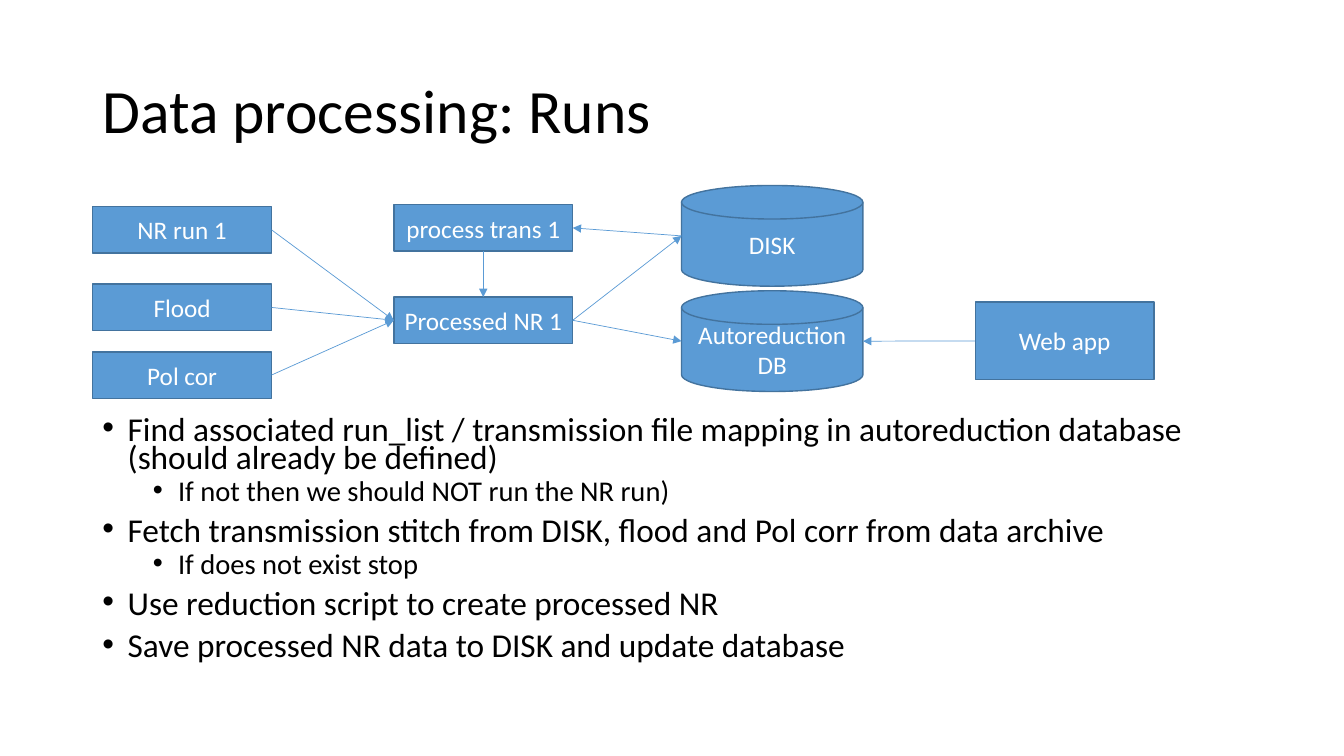
from lxml.etree import SubElement
from pptx import Presentation
from pptx.dml.color import RGBColor
from pptx.enum.shapes import MSO_CONNECTOR, MSO_SHAPE
from pptx.enum.text import MSO_ANCHOR, MSO_AUTO_SIZE, PP_ALIGN
from pptx.oxml.ns import qn
from pptx.util import Pt


def paint(target, color):
    if hasattr(target, "solid"):
        target.solid()
        target = target.fore_color
    target.rgb = RGBColor.from_string(color)


def write(para, text, size, color):
    run = para.add_run()
    run.text = text
    run.font.name = "Calibri"
    run.font.size = Pt(size)
    paint(run.font.color, color)


deck = Presentation()
deck.slide_width, deck.slide_height = Pt(960), Pt(540)
slide = deck.slides.add_slide(deck.slide_layouts[1])
paint(slide.background.fill, "FFFFFF")

title, body = slide.placeholders
for holder, top, height in ((title, 28.75, 104.4), (body, 296, 191)):
    holder.left, holder.top = Pt(66), Pt(top)
    holder.width, holder.height = Pt(828), Pt(height)
    holder.text_frame.auto_size = MSO_AUTO_SIZE.NONE

title.text_frame.vertical_anchor = MSO_ANCHOR.MIDDLE
head = title.text_frame.paragraphs[0]
head.alignment = PP_ALIGN.LEFT
head.line_spacing = 0.9
write(head, "Data processing: Runs", 44, "000000")

steps = [
    (0, "Find associated run_list / transmission file mapping in autoreduction database (should already be defined)"),
    (1, "If not then we should NOT run the NR run)"),
    (0, "Fetch transmission stitch from DISK, flood and Pol corr from data archive"),
    (1, "If does not exist stop"),
    (0, "Use reduction script to create processed NR"),
    (0, "Save processed NR data to DISK and update database"),
]
frame = body.text_frame
for i, (level, text) in enumerate(steps):
    para = frame.add_paragraph() if i else frame.paragraphs[0]
    para.level = level
    para.line_spacing = 0.7
    para.space_before = Pt((10, 5)[level])
    props = para._p.get_or_add_pPr()
    props.set("marL", str(Pt(18 + 36 * level)))
    props.set("indent", str(Pt(-18)))
    SubElement(props, qn("a:buFont")).set("typeface", "Arial")
    SubElement(props, qn("a:buChar")).set("char", "•")
    write(para, text, (23.8, 20.4)[level], "000000")

rect, disk = MSO_SHAPE.RECTANGLE, MSO_SHAPE.FLOWCHART_MAGNETIC_DISK
nodes = {
    "run": ("NR run 1", rect, 66.2, 147.6, 127.8, 33.2),
    "flood": ("Flood", rect, 66.2, 203, 127.8, 33.2),
    "pol": ("Pol cor", rect, 66.2, 251.3, 127.8, 33.2),
    "trans": ("process trans 1", rect, 281.3, 146.2, 127.8, 33.2),
    "proc": ("Processed NR 1", rect, 281.3, 212.2, 127.8, 33.2),
    "store": ("DISK", disk, 486.8, 132.5, 129.6, 72),
    "base": ("Autoreduction DB", disk, 486.8, 207.7, 129.6, 72),
    "web": ("Web app", rect, 696.6, 215.8, 127.8, 55.4),
}
ports = {}
for name, (text, kind, x, y, w, h) in nodes.items():
    box = slide.shapes.add_shape(kind, Pt(x), Pt(y), Pt(w), Pt(h))
    box.shadow.inherit = False
    paint(box.fill, "5B9BD5")
    paint(box.line.fill, "43739E")
    box.line.width = Pt(1)
    box.text_frame.word_wrap = True
    box.text_frame.vertical_anchor = MSO_ANCHOR.MIDDLE
    para = box.text_frame.paragraphs[0]
    para.alignment = PP_ALIGN.CENTER
    write(para, text, 18, "FFFFFF")
    ports[name] = {
        "left": (x, y + h / 2),
        "right": (x + w, y + h / 2),
        "top": (x + w / 2, y),
        "bottom": (x + w / 2, y + h),
    }

links = [
    ("run", "right", "proc", "left"),
    ("flood", "right", "proc", "left"),
    ("pol", "right", "proc", "left"),
    ("store", "left", "trans", "right"),
    ("trans", "bottom", "proc", "top"),
    ("proc", "right", "store", "left"),
    ("proc", "right", "base", "left"),
    ("web", "left", "base", "right"),
]
for start, out, end, into in links:
    ends = [Pt(v) for v in ports[start][out] + ports[end][into]]
    link = slide.shapes.add_connector(MSO_CONNECTOR.STRAIGHT, *ends)
    paint(link.line.fill, "5B9BD5")
    link.line.width = Pt(0.5)
    SubElement(link.line._get_or_add_ln(), qn("a:tailEnd")).set("type", "triangle")
    SubElement(link._element.spPr, qn("a:effectLst"))

deck.save("out.pptx")
